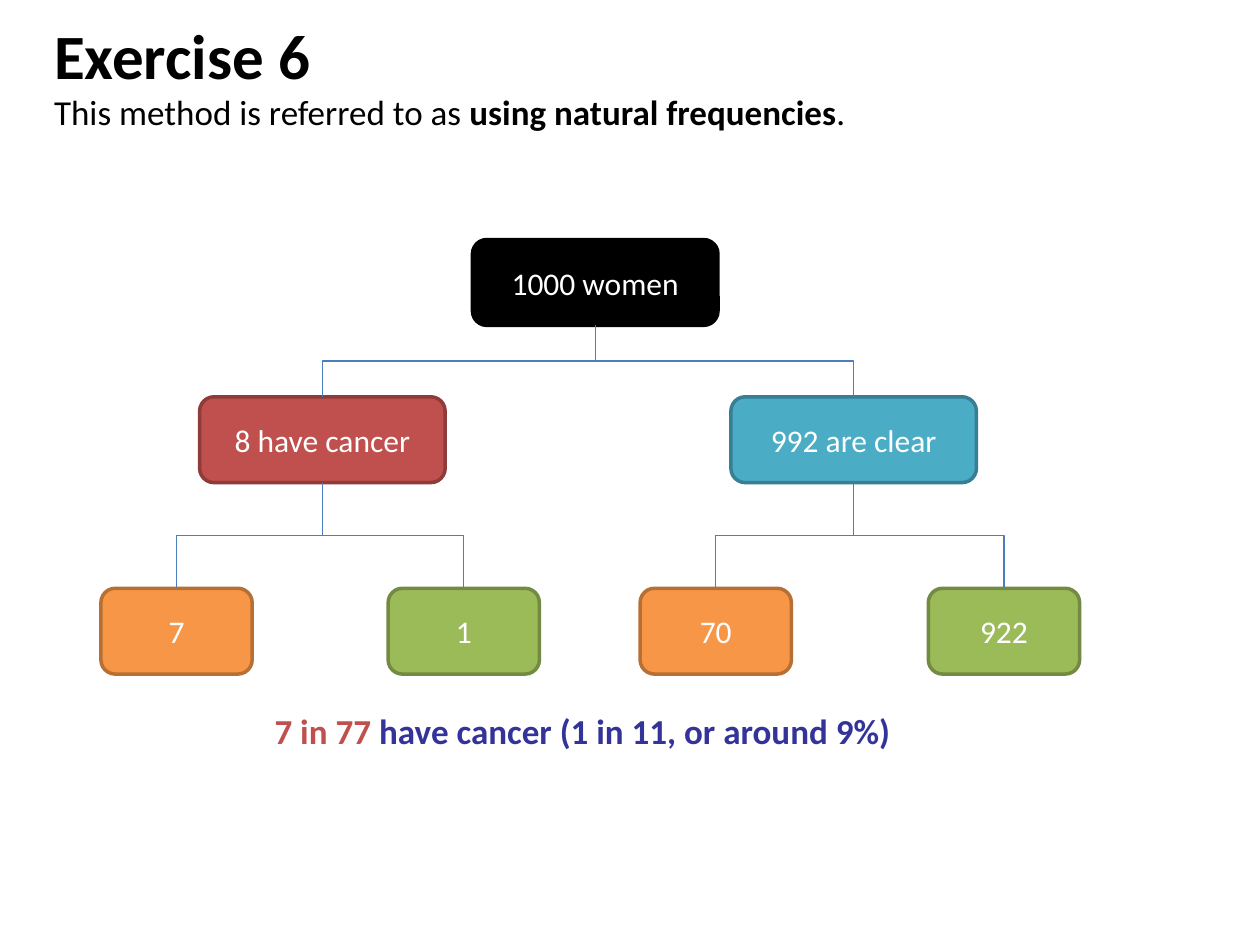
"""Build a slide with a natural-frequency tree for a screening exercise."""
from lxml.etree import SubElement
from pptx import Presentation
from pptx.dml.color import RGBColor
from pptx.enum.shapes import MSO_CONNECTOR as Link, MSO_SHAPE as Shape
from pptx.enum.text import MSO_ANCHOR as Anchor, PP_ALIGN as Align
from pptx.oxml.ns import qn
from pptx.util import Cm, Pt

FONT = "Calibri"
BLACK, WHITE, RED, NAVY, BLUE = "000000", "FFFFFF", "C0504D", "333399", "4B7EBC"
TEXTS = [
    ((0.84, 0.2, 22.86, 3.18), 36, Align.LEFT, [("Exercise 6", BLACK, True)]),
    ((0.84, 1.7, 21.06, 1.12), 20, Align.LEFT, [
        ("This method is referred to as ", BLACK, False),
        ("using natural frequencies", BLACK, True),
        (".", BLACK, False)]),
    ((5.23, 14.17, 13.03, 1.12), 20, Align.CENTER, [
        ("7 in 77", RED, True),
        (" have cancer (1 in 11, or around 9%)", NAVY, True)]),
]
STYLES = {
    "all": (BLACK, BLACK),
    "cancer": (RED, "8E3B39"),
    "clear": ("4BACC6", "377F92"),
    "positive": ("F79646", "B76F34"),
    "negative": ("9BBB59", "738A42"),
}
LEVELS = [(4.83, 4.95), (8.0, 4.95), (11.86, 3.05)]
NODE_HEIGHT = 1.73
TREE = ("1000 women", "all", 12.0, [
    ("8 have cancer", "cancer", 6.5, [
        ("7", "positive", 3.56, []),
        ("1", "negative", 9.35, [])]),
    ("992 are clear", "clear", 17.21, [
        ("70", "positive", 14.43, []),
        ("922", "negative", 20.24, [])]),
])


def color(code):
    return RGBColor.from_string(code)


def add_text(page, place, size, align, spans):
    box = page.shapes.add_textbox(*map(Cm, place))
    box.text_frame.word_wrap = True
    para = box.text_frame.paragraphs[0]
    para.alignment = align
    para.font.name, para.font.size = FONT, Pt(size)
    for text, code, bold in spans:
        span = para.add_run()
        span.text = text
        span.font.bold = bold
        span.font.color.rgb = color(code)


def add_node(page, text, style, center, level):
    top, width = LEVELS[level]
    box = page.shapes.add_shape(Shape.ROUNDED_RECTANGLE, Cm(center - width / 2),
                                Cm(top), Cm(width), Cm(NODE_HEIGHT))
    fill, line = STYLES[style]
    box.shadow.inherit = False
    box.fill.solid()
    box.fill.fore_color.rgb = color(fill)
    box.line.color.rgb = color(line)
    box.line.width = Pt(2)
    box.text_frame.vertical_anchor = Anchor.MIDDLE
    para = box.text_frame.paragraphs[0]
    para.text = text
    para.alignment = Align.CENTER
    para.font.name, para.font.size = FONT, Pt(18)
    para.font.color.rgb = color(WHITE)
    return box


def add_branch(page, parent, child):
    """Join two nodes with an elbow that leaves downwards, so it is turned a quarter."""
    start_x, end_x = (box.left + box.width // 2 for box in (parent, child))
    start_y, end_y = parent.top + parent.height, child.top
    branch = page.shapes.add_connector(Link.ELBOW, start_x, start_y, end_x, end_y)
    branch.begin_connect(parent, 2)
    branch.end_connect(child, 0)
    branch.width, branch.height = end_y - start_y, abs(end_x - start_x)
    branch.left = (start_x + end_x - branch.width) // 2
    branch.top = (start_y + end_y - branch.height) // 2
    props = branch._element.spPr
    frame = props.find(qn("a:xfrm"))
    rightward = end_x > start_x
    frame.set("rot", str((270 if rightward else 90) * 60000))
    frame.set("flipH", str(int(rightward)))
    branch.line.color.rgb = color(BLUE)
    branch.line.width = Pt(0.75)
    SubElement(props, qn("a:effectLst"))


def add_tree(page, node, level=0):
    text, style, center, children = node
    box = add_node(page, text, style, center, level)
    for child in children:
        add_branch(page, box, add_tree(page, child, level + 1))
    return box


def main():
    deck = Presentation()
    deck.slide_width, deck.slide_height = Cm(25.4), Cm(19.05)
    page = deck.slides.add_slide(deck.slide_layouts[6])
    for entry in TEXTS:
        add_text(page, *entry)
    add_tree(page, TREE)
    deck.save("out.pptx")


if __name__ == "__main__":
    main()
